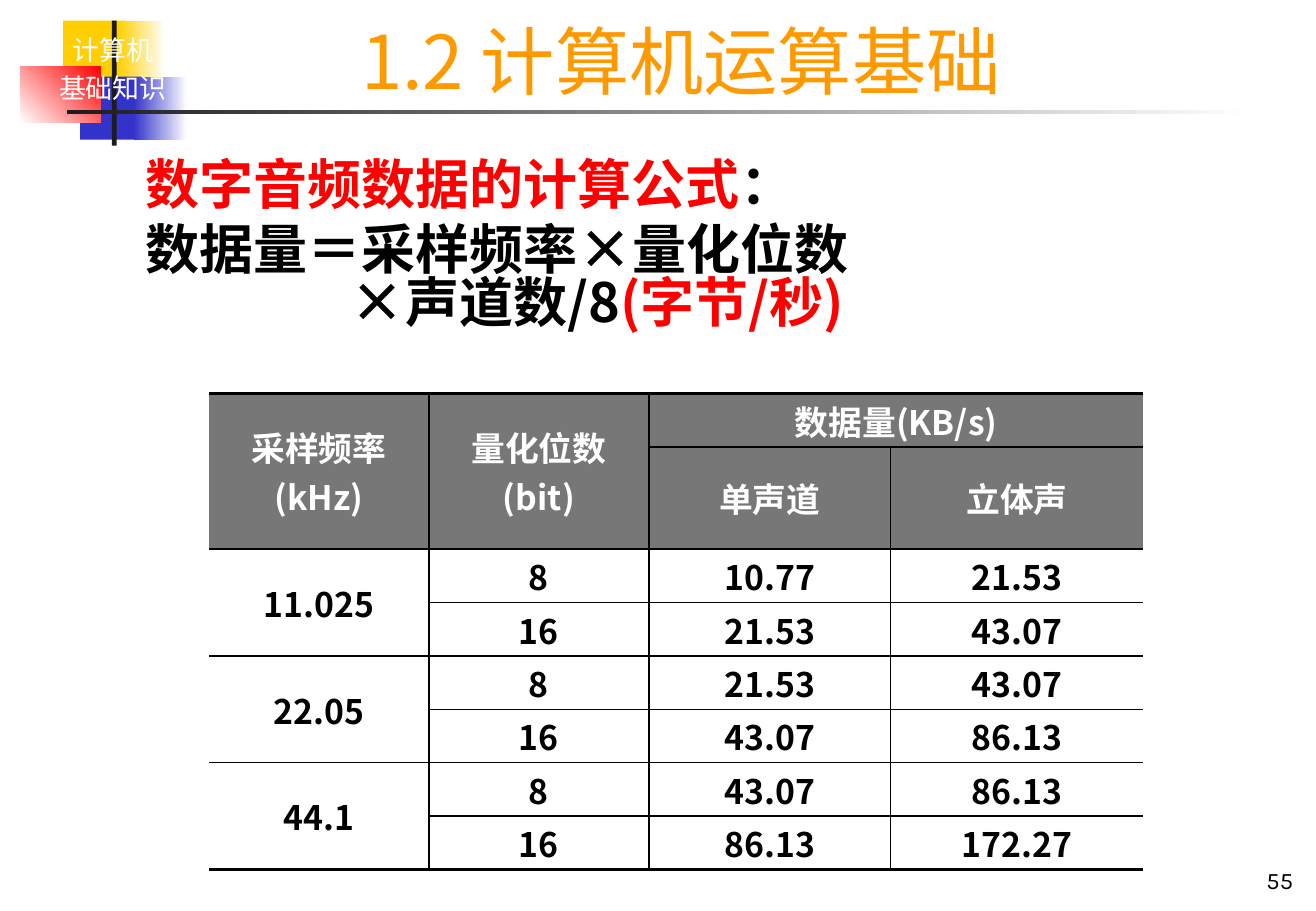
from lxml import etree
from pptx import Presentation
from pptx.dml.color import RGBColor as RGB
from pptx.enum.shapes import MSO_SHAPE as Shape
from pptx.enum.text import MSO_ANCHOR as Anchor, PP_ALIGN as Align
from pptx.oxml.ns import qn
from pptx.util import Inches, Pt

COLORS = {
    "gold": "FFCF01", "blue": "3333CC", "red": "FF0000", "dark": "1C1C1C",
    "white": "FFFFFF", "black": "000000", "orange": "FF9900", "gray": "777777",
}
NOTO, KARLA = "Noto Sans CJK SC", "Karla"


def add_run(para, text, size, color, face=NOTO, bold=False):
    """Add one run, with the same face for Latin and Chinese letters."""
    run = para.add_run()
    run.text = text
    font = run.font
    font.size, font.bold, font.name = Pt(size), bold, face
    font.color.rgb = RGB.from_string(COLORS[color])
    latin = run._r.rPr.find(qn("a:latin"))
    east = etree.Element(qn("a:ea"), typeface=face)
    latin.addnext(east)


def add_box(left, top, width, height, anchor=Anchor.TOP):
    box = slide.shapes.add_textbox(
        Inches(left), Inches(top), Inches(width), Inches(height))
    frame = box.text_frame
    frame.word_wrap = True
    frame.vertical_anchor = anchor
    return frame


deck = Presentation()
deck.slide_width, deck.slide_height = Inches(10.83), Inches(7.5)
slide = deck.slides.add_slide(deck.slide_layouts[6])

# Corner blocks and title rule: place, start colour, end colour, angle
blocks = [
    (0.52, 0.17, 0.52, 0.52, "gold", None, 0),
    (0.97, 0.17, 0.39, 0.52, "gold", "white", 0),
    (0.66, 0.63, 0.5, 0.52, "blue", None, 0),
    (1.1, 0.63, 0.44, 0.52, "blue", "white", 0),
    (0.17, 0.55, 0.66, 0.46, "white", "red", 45),
    (0.92, 0.17, 0.04, 1.03, "dark", None, 0),
    (0.55, 0.91, 9.75, 0.03, "dark", "white", 0),
]
for left, top, width, height, start, end, angle in blocks:
    block = slide.shapes.add_shape(
        Shape.RECTANGLE, Inches(left), Inches(top), Inches(width), Inches(height))
    block.shadow.inherit = False
    block.line.fill.background()
    if end:
        block.fill.gradient()
        block.fill.gradient_angle = angle
        for stop, name in zip(block.fill.gradient_stops, (start, end)):
            stop.color.rgb = RGB.from_string(COLORS[name])
    else:
        block.fill.solid()
        block.fill.fore_color.rgb = RGB.from_string(COLORS[start])

# Corner label
label = add_box(0.3, 0.23, 1.26, 0.69)
for i, text in enumerate(("计算机", "基础知识")):
    para = label.add_paragraph() if i else label.paragraphs[0]
    para.alignment = Align.CENTER
    para.space_before = Pt(3.2)
    add_run(para, text, 16, "white", KARLA)

# Page number
para = add_box(9.59, 7.08, 1.15, 0.33, Anchor.BOTTOM).paragraphs[0]
para.alignment = Align.RIGHT
add_run(para, "55", 14, "black", KARLA)

# Formula: indent, space before, runs
formula = [
    (0.41, 6.4, [("数字音频数据的计算公式", "red"), ("：", "black")]),
    (0.41, 6.4, [("数据量＝采样频率×量化位数", "black")]),
    (2.1, 0, [("×声道数/8", "black"), ("(字节/秒)", "red")]),
]
body = add_box(0.69, 1.23, 9.53, 1.89)
body.margin_top = Inches(0.1)
for i, (indent, gap, runs) in enumerate(formula):
    para = body.add_paragraph() if i else body.paragraphs[0]
    para.space_before = Pt(gap)
    para.line_spacing = 0.83
    props = para._p.get_or_add_pPr()
    props.set("marL", str(Inches(indent)))
    props.set("indent", "0")
    for text, color in runs:
        add_run(para, text, 32, color, bold=True)

# Data table
rows = [
    ("采样频率\n(kHz)", "量化位数\n(bit)", "数据量(KB/s)", ""),
    ("", "", "单声道", "立体声"),
    ("11.025", "8", "10.77", "21.53"),
    ("", "16", "21.53", "43.07"),
    ("22.05", "8", "21.53", "43.07"),
    ("", "16", "43.07", "86.13"),
    ("44.1", "8", "43.07", "86.13"),
    ("", "16", "86.13", "172.27"),
]
widths = [1.81, 1.81, 1.99, 2.08]
heights = [0.44, 0.84] + [0.44] * 6
grid = slide.shapes.add_table(
    len(rows), len(widths), Inches(1.72), Inches(3.24),
    Inches(sum(widths)), Inches(sum(heights))).table
for col, width in zip(grid.columns, widths):
    col.width = Inches(width)
for row, height in zip(grid.rows, heights):
    row.height = Inches(height)
for r in range(0, len(rows), 2):
    grid.cell(r, 0).merge(grid.cell(r + 1, 0))
grid.cell(0, 1).merge(grid.cell(1, 1))
grid.cell(0, 2).merge(grid.cell(0, 3))

for r, texts in enumerate(rows):
    for c, text in enumerate(texts):
        cell = grid.cell(r, c)
        head = r < 2
        tall = cell.span_height if cell.is_merge_origin else 1
        wide = cell.span_width if cell.is_merge_origin else 1
        edges = {
            "L": 1 if c else 0,
            "R": 1 if c + wide < len(widths) else 0,
            "T": 1 if r else 2.25,
            "B": 1 if r + tall < len(rows) else 2.25,
        }
        props = cell._tc.get_or_add_tcPr()
        for side, weight in edges.items():
            line = etree.SubElement(props, qn("a:ln" + side), w=str(Pt(weight)))
            if weight:
                fill = etree.SubElement(line, qn("a:solidFill"))
                etree.SubElement(fill, qn("a:srgbClr"), val=COLORS["black"])
            else:
                etree.SubElement(line, qn("a:noFill"))
        cell.fill.solid()
        cell.fill.fore_color.rgb = RGB.from_string(COLORS["gray" if head else "white"])
        cell.vertical_anchor = Anchor.MIDDLE
        cell.margin_left = cell.margin_right = Inches(0.1)
        cell.margin_top = cell.margin_bottom = Inches(0.02)
        if not text:
            continue
        for i, part in enumerate(text.split("\n")):
            frame = cell.text_frame
            para = frame.add_paragraph() if i else frame.paragraphs[0]
            para.alignment = Align.CENTER
            add_run(para, part, 20, "white" if head else "black", bold=True)

# Title
para = add_box(2.07, 0.08, 7.07, 0.83, Anchor.MIDDLE).paragraphs[0]
para.alignment = Align.CENTER
add_run(para, "1.2 计算机运算基础", 44, "orange")

deck.save("out.pptx")
